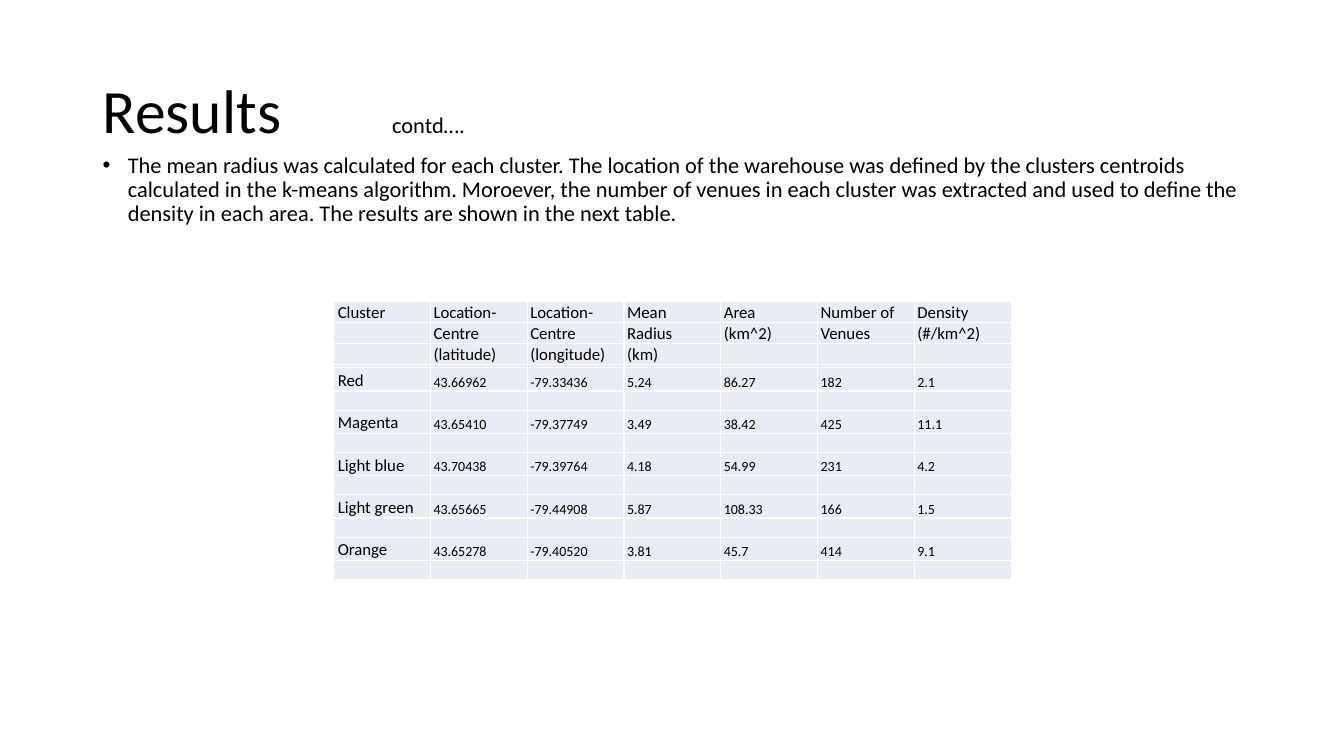
import lxml.etree
import pptx
import pptx.dml.color
import pptx.enum.text
import pptx.oxml.ns
import pptx.util
from pptx.util import Inches

FONT = "Calibri"
COLORS = {"text": "000000", "cell": "E9EBF5", "border": "FFFFFF"}

BODY = (
    "The mean radius was calculated for each cluster. The location of the "
    "warehouse was defined by the clusters centroids calculated in the k-means "
    "algorithm. Moroever, the number of venues in each cluster was extracted and "
    "used to define the density in each area. The results are shown in the next table."
)

HEADER_ROWS = [
    ["Cluster", "Location-", "Location-", "Mean", "Area", "Number of", "Density"],
    ["", "Centre", "Centre", "Radius", "(km^2)", "Venues", "(#/km^2)"],
    ["", "(latitude)", "(longitude)", "(km)", "", "", ""],
]
CLUSTERS = [
    ["Red", "43.66962", "-79.33436", "5.24", "86.27", "182", "2.1"],
    ["Magenta", "43.65410", "-79.37749", "3.49", "38.42", "425", "11.1"],
    ["Light blue", "43.70438", "-79.39764", "4.18", "54.99", "231", "4.2"],
    ["Light green", "43.65665", "-79.44908", "5.87", "108.33", "166", "1.5"],
    ["Orange", "43.65278", "-79.40520", "3.81", "45.7", "414", "9.1"],
]
BLANK_ROW = [""] * 7
COLUMN_WIDTH = 0.96
HEADER_HEIGHT, RULE_HEIGHT, VALUE_HEIGHT, GAP_HEIGHT = 0.21, 0.03, 0.23, 0.19


def add_xml(parent, tag, **attributes):
    return lxml.etree.SubElement(parent, pptx.oxml.ns.qn(tag), attributes)


def format_run(run, size):
    run.font.name = FONT
    run.font.size = pptx.util.Pt(size)
    run.font.color.rgb = pptx.dml.color.RGBColor.from_string(COLORS["text"])


def fill_title(title):
    title.left, title.top = Inches(0.92), Inches(0.4)
    title.width, title.height = Inches(11.5), Inches(1.45)
    frame = title.text_frame
    frame.auto_size = pptx.enum.text.MSO_AUTO_SIZE.NONE
    frame.vertical_anchor = pptx.enum.text.MSO_ANCHOR.MIDDLE
    paragraph = frame.paragraphs[0]
    paragraph.alignment = pptx.enum.text.PP_ALIGN.LEFT
    paragraph.line_spacing = 0.9
    for text, size in [("Results\t", 44), ("contd….", 16)]:
        run = paragraph.add_run()
        run.text = text
        format_run(run, size)
    tab_stops = add_xml(paragraph._p.get_or_add_pPr(), "a:tabLst")
    add_xml(tab_stops, "a:tab", pos=str(Inches(2.87)), algn="l")


def add_bullet_text(slide, text):
    box = slide.shapes.add_textbox(Inches(0.92), Inches(1.48), Inches(11.5), Inches(5.28))
    frame = box.text_frame
    frame.word_wrap = True
    frame.text = text
    paragraph = frame.paragraphs[0]
    paragraph.line_spacing = 0.9
    paragraph.space_before = pptx.util.Pt(10)
    format_run(paragraph.runs[0], 16)
    properties = paragraph._p.get_or_add_pPr()
    properties.set("marL", str(Inches(0.25)))
    properties.set("indent", str(Inches(-0.25)))
    add_xml(properties, "a:buFont", typeface="Arial")
    add_xml(properties, "a:buChar", char="•")


def add_borders(cell):
    properties = cell._tc.get_or_add_tcPr()
    for side in ("a:lnL", "a:lnR", "a:lnT", "a:lnB"):
        line = add_xml(properties, side, w=str(pptx.util.Pt(1)))
        add_xml(add_xml(line, "a:solidFill"), "a:srgbClr", val=COLORS["border"])


def format_cell(cell, text, size, indent):
    add_borders(cell)
    cell.fill.solid()
    cell.fill.fore_color.rgb = pptx.dml.color.RGBColor.from_string(COLORS["cell"])
    cell.margin_left = cell.margin_right = cell.margin_top = cell.margin_bottom = 0
    cell.vertical_anchor = pptx.enum.text.MSO_ANCHOR.BOTTOM
    paragraph = cell.text_frame.paragraphs[0]
    if text:
        paragraph.text = text
        format_run(paragraph.runs[0], size)
        paragraph._p.get_or_add_pPr().set("marL", str(Inches(indent)))
    else:
        # A one-point end mark keeps blank rows from growing.
        add_xml(paragraph._p, "a:endParaRPr", sz="100")


def add_cluster_table(slide):
    # Each row: texts, height, size of the text after the first column.
    rows = [(texts, HEADER_HEIGHT, 12) for texts in HEADER_ROWS]
    rows.append((BLANK_ROW, RULE_HEIGHT, 12))
    for cluster in CLUSTERS:
        rows += [(cluster, VALUE_HEIGHT, 10), (BLANK_ROW, GAP_HEIGHT, 10)]

    column_count = len(BLANK_ROW)
    total_height = sum(height for _, height, _ in rows)
    table = slide.shapes.add_table(
        len(rows), column_count, Inches(3.31), Inches(2.99),
        Inches(COLUMN_WIDTH * column_count), Inches(total_height),
    ).table
    table.first_row = table.horz_banding = False
    for column in table.columns:
        column.width = Inches(COLUMN_WIDTH)
    for row, (texts, height, value_size) in zip(table.rows, rows):
        row.height = Inches(height)
        for index, (cell, text) in enumerate(zip(row.cells, texts)):
            size, indent = (value_size, 0.03) if index else (12, 0.04)
            format_cell(cell, text, size, indent)


def main():
    presentation = pptx.Presentation()
    presentation.slide_width = Inches(13.33)
    presentation.slide_height = Inches(7.5)
    slide = presentation.slides.add_slide(presentation.slide_layouts[5])
    fill_title(slide.shapes.title)
    add_bullet_text(slide, BODY)
    add_cluster_table(slide)
    presentation.save("out.pptx")


if __name__ == "__main__":
    main()
